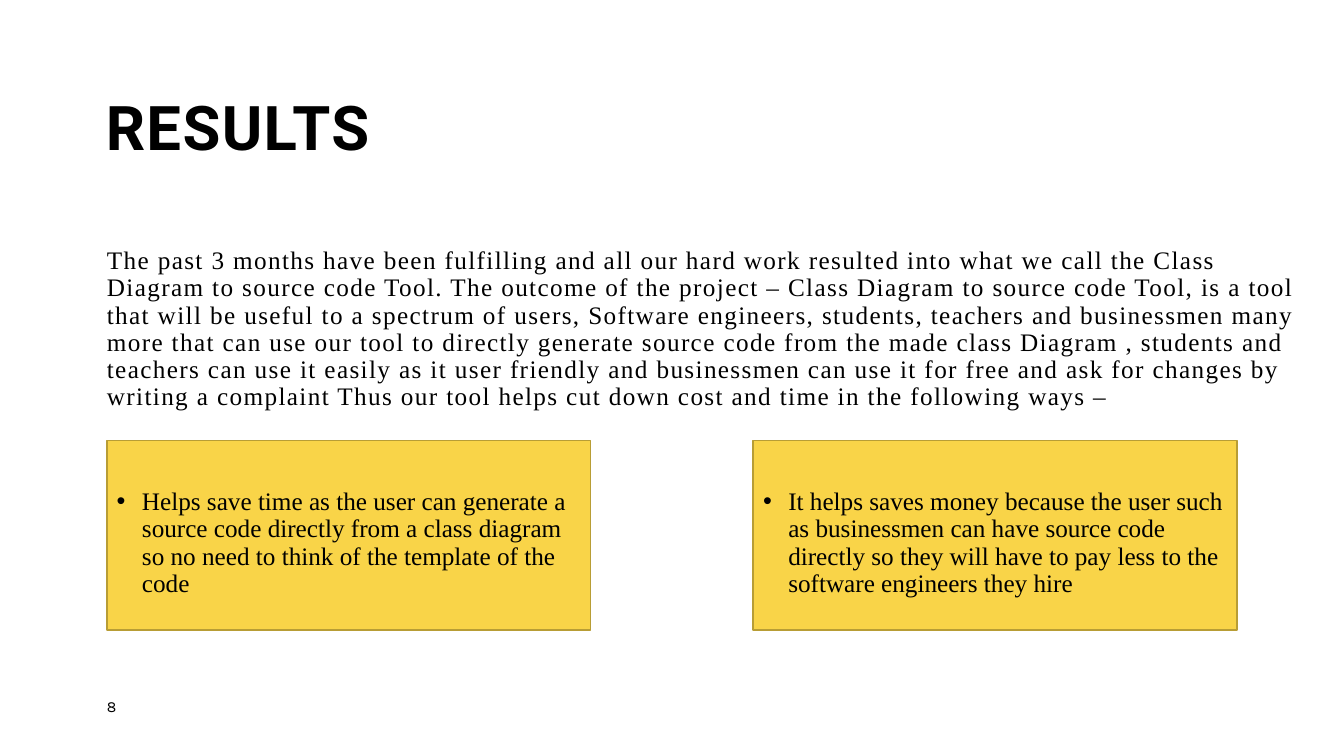
"""Build the Results slide with an introduction and two benefit boxes."""
from dataclasses import dataclass

import pptx
import pptx.dml.color
import pptx.enum.shapes
import pptx.enum.text
import pptx.oxml
import pptx.oxml.ns
import pptx.slide
import pptx.text.text
import pptx.util

Inches = pptx.util.Inches
Pt = pptx.util.Pt
Color = pptx.dml.color.RGBColor
Anchor = pptx.enum.text.MSO_ANCHOR


@dataclass(frozen=True)
class Theme:
    ink: Color = Color.from_string("000000")
    box_fill: Color = Color.from_string("F9D448")
    box_line: Color = Color.from_string("B89D35")
    heading_font: str = "Roboto"
    body_font: str = "Times New Roman"
    number_font: str = "Karla"
    heading_size: float = 44
    body_size: float = 18
    number_size: float = 11


THEME = Theme()


@dataclass(frozen=True)
class Area:
    left: float
    top: float
    width: float
    height: float

    def lengths(self) -> list[pptx.util.Length]:
        return [Inches(value) for value in (self.left, self.top, self.width, self.height)]


@dataclass(frozen=True)
class Style:
    font: str
    size: float
    bold: bool = False
    tracking: float = 0
    line_spacing: float = 0.9


@dataclass(frozen=True)
class Label:
    area: Area
    text: str
    style: Style
    anchor: Anchor = Anchor.BOTTOM


@dataclass(frozen=True)
class Benefit:
    area: Area
    text: str


LABELS = [
    Label(Area(1.05, 0.96, 5.4, 0.67), "RESULTS",
          Style(THEME.heading_font, THEME.heading_size, bold=True, tracking=1)),
    Label(Area(1.06, 6.92, 0.57, 0.27), "8",
          Style(THEME.number_font, THEME.number_size, line_spacing=1), Anchor.TOP),
    Label(Area(1.06, 2.41, 12.01, 1.67),
          "The past 3 months have been fulfilling and all our hard work resulted into what we "
          "call the Class Diagram to source code Tool. The outcome of the project – Class "
          "Diagram to source code Tool, is a tool that will be useful to a spectrum of users, "
          "Software engineers, students, teachers and businessmen many more that can use our "
          "tool to directly generate source code from the made class Diagram , students and "
          "teachers can use it easily as it user friendly and businessmen can use it for free "
          "and ask for changes by writing a complaint Thus our tool helps cut down cost and "
          "time in the following ways –",
          Style(THEME.body_font, THEME.body_size, tracking=1)),
]

BENEFITS = [
    Benefit(Area(1.06, 4.37, 4.8, 1.88),
            "Helps save time as the user can generate a source code directly from a class "
            "diagram so no need to think of the template of the code"),
    Benefit(Area(7.47, 4.37, 4.8, 1.88),
            "It helps saves money because the user such as businessmen can have source code "
            "directly so they will have to pay less to the software engineers they hire"),
]


def set_insets(frame: pptx.text.text.TextFrame, side: float, top: float, bottom: float) -> None:
    frame.word_wrap = True
    frame.margin_left = frame.margin_right = Inches(side)
    frame.margin_top, frame.margin_bottom = Inches(top), Inches(bottom)


def write(paragraph: pptx.text.text._Paragraph, text: str, style: Style) -> None:
    paragraph.alignment = pptx.enum.text.PP_ALIGN.LEFT
    paragraph.line_spacing = style.line_spacing
    run = paragraph.add_run()
    run.text = text
    run.font.name = style.font
    run.font.size = Pt(style.size)
    run.font.bold = style.bold
    run.font.color.rgb = THEME.ink
    if style.tracking:
        run._r.get_or_add_rPr().set("spc", str(round(style.tracking * 100)))


def add_bullet(paragraph: pptx.text.text._Paragraph, indent: float) -> None:
    properties = paragraph._p.get_or_add_pPr()
    properties.set("marL", str(Inches(indent)))
    properties.set("indent", str(-Inches(indent)))
    namespace = pptx.oxml.ns.nsdecls("a")
    properties.append(pptx.oxml.parse_xml(f'<a:buFont {namespace} typeface="Arial"/>'))
    properties.append(pptx.oxml.parse_xml(f'<a:buChar {namespace} char="•"/>'))


def add_label(slide: pptx.slide.Slide, label: Label) -> None:
    frame = slide.shapes.add_textbox(*label.area.lengths()).text_frame
    set_insets(frame, 0, 0, 0)
    frame.vertical_anchor = label.anchor
    write(frame.paragraphs[0], label.text, label.style)


def add_benefit(slide: pptx.slide.Slide, benefit: Benefit) -> None:
    rectangle = pptx.enum.shapes.MSO_SHAPE.RECTANGLE
    shape = slide.shapes.add_shape(rectangle, *benefit.area.lengths())
    shape.shadow.inherit = False
    shape.fill.solid()
    shape.fill.fore_color.rgb = THEME.box_fill
    shape.line.color.rgb = THEME.box_line
    shape.line.width = Pt(1)
    frame = shape.text_frame
    set_insets(frame, 0.1, 0.48, 0.05)
    frame.vertical_anchor = Anchor.TOP
    add_bullet(frame.paragraphs[0], 0.25)
    write(frame.paragraphs[0], benefit.text, Style(THEME.body_font, THEME.body_size))


def main() -> None:
    presentation = pptx.Presentation()
    presentation.slide_width = Inches(13.33)
    presentation.slide_height = Inches(7.5)
    slide = presentation.slides.add_slide(presentation.slide_layouts[6])
    for label in LABELS:
        add_label(slide, label)
    for benefit in BENEFITS:
        add_benefit(slide, benefit)
    presentation.save("out.pptx")


if __name__ == "__main__":
    main()
